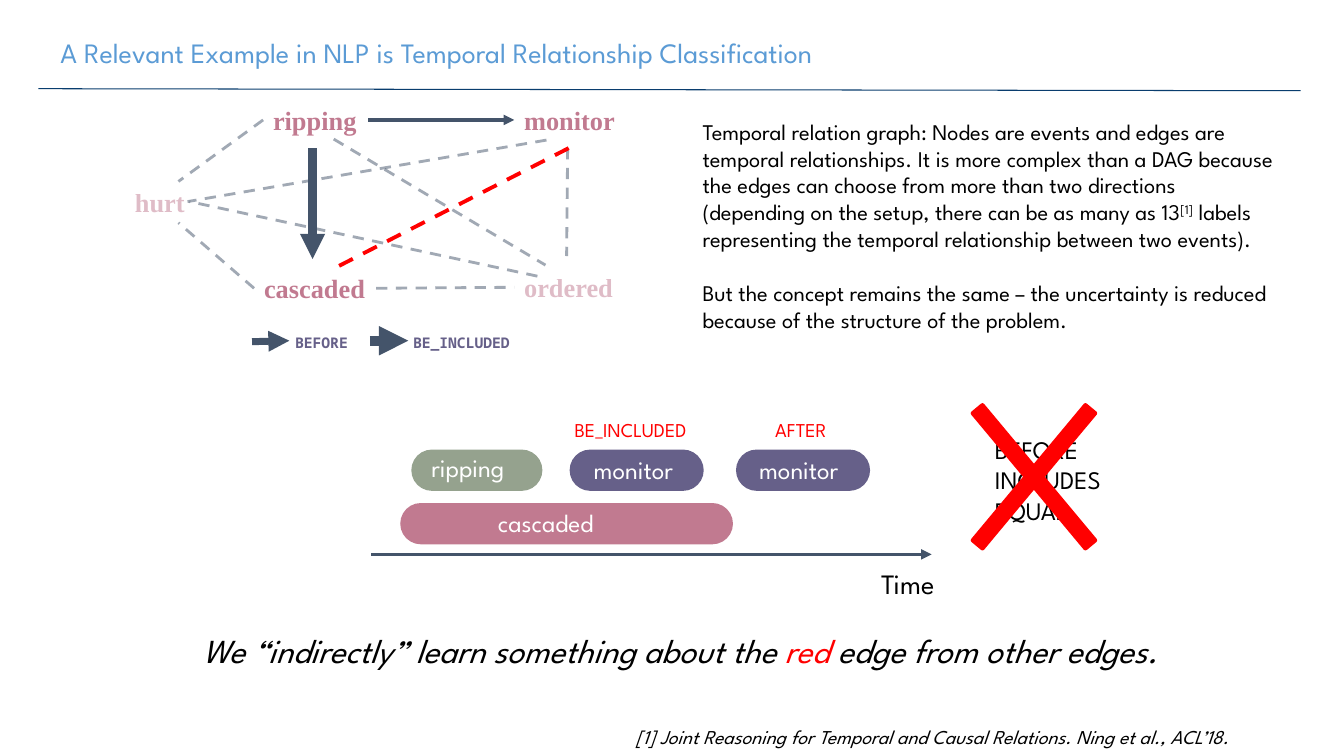
from lxml.etree import SubElement
from pptx import Presentation
from pptx.dml.color import RGBColor
from pptx.enum.dml import MSO_LINE
from pptx.enum.shapes import MSO_CONNECTOR, MSO_SHAPE
from pptx.enum.text import MSO_ANCHOR, MSO_AUTO_SIZE, PP_ALIGN
from pptx.oxml.ns import qn
from pptx.util import Inches, Pt

COLORS = {
    "title": "5B9BD5", "rule": "093D6E", "slate": "44546A", "rose": "C17A90",
    "violet": "666089", "sage": "95A28E", "red": "FF0000", "black": "000000",
    "white": "FFFFFF",
}
SANS, SERIF, MONO = "League Spartan", "Times New Roman", "Noto Sans Mono"

TITLE = "A Relevant Example in NLP is Temporal Relationship Classification"
# word, left, top, width, opacity in percent
EVENTS = [
    ("cascaded", 2.52, 2.65, 1.21, 100),
    ("hurt", 1.24, 1.8, 0.7, 50),
    ("ripping", 2.61, 0.98, 1.03, 100),
    ("ordered", 5.1, 2.64, 1.09, 50),
    ("monitor", 5.1, 0.98, 1.11, 100),
]
UNKNOWN_EDGES = [
    ((2.61, 1.19), (1.77, 1.8)),
    ((3.31, 1.38), (5.41, 2.63)),
    ((3.73, 2.86), (5.1, 2.85)),
    ((2.52, 2.86), (1.77, 2.21)),
    ((5.63, 1.47), (5.62, 2.54)),
    ((5.42, 1.39), (1.86, 2)),
    ((5.33, 2.74), (1.88, 2)),
]
RED_EDGE = ((5.64, 1.47), (3.32, 2.66))
# start, end, width in points
ARROWS = [
    ((3.1, 1.47), (3.1, 2.57), 6),
    ((3.65, 1.19), (5.1, 1.19), 2.5),
    ((2.5, 3.39), (2.87, 3.38), 5),
    ((3.67, 3.38), (4.05, 3.38), 7),
    ((3.68, 5.5), (9.24, 5.5), 2.5),
]
LEGEND = [("BEFORE", 2.83, 0.73), ("BE_INCLUDED", 4, 1.17)]
# word, fill, left, top, width, text left, text top, text width
INTERVALS = [
    ("monitor", "violet", 5.65, 4.46, 1.33, 5.79, 4.46, 1.2),
    ("monitor", "violet", 7.3, 4.46, 1.33, 7.43, 4.46, 1.2),
    ("ripping", "sage", 4.08, 4.46, 1.3, 4.18, 4.44, 1.2),
    ("cascaded", "rose", 3.97, 4.99, 3.3, 4.84, 4.98, 1.48),
]
POSSIBLE = [("BE_INCLUDED", 5.6, 1.48), ("AFTER", 7.59, 0.75)]
RULED_OUT = ["BEFORE", "INCLUDES", "EQUAL"]
EXPLANATION = [
    [("Temporal relation graph: Nodes are events and edges are temporal "
      "relationships. It is more complex than a DAG because the edges can choose "
      "from more than two directions (depending on the setup, there can be as "
      "many as 13", {}),
     ("[1]", {"raised": True}),
     (" labels representing the temporal relationship between two events).", {})],
    "But the concept remains the same – the uncertainty is reduced because of "
    "the structure of the problem.",
]
TAKEAWAY = [("We “indirectly” learn something about the ", {}),
            ("red ", {"color": "red"}),
            ("edge from other edges.", {})]
REFERENCE = "[1] Joint Reasoning for Temporal and Causal Relations. Ning et al., ACL’18."


def rgb(name):
    return RGBColor.from_string(COLORS[name])


def set_opacity(element, percent):
    """Make the solid colour found inside an XML element partly transparent."""
    color = next(element.iter(qn("a:srgbClr")))
    SubElement(color, qn("a:alpha")).set("val", str(percent * 1000))


def write(frame, paragraphs, size, font=SANS, color="black", bold=False,
          italic=False, opacity=100, align=PP_ALIGN.LEFT, gap=0):
    """Fill a text frame; a paragraph is a string or a list of (text, changes)."""
    for index, content in enumerate(paragraphs):
        para = frame.paragraphs[0] if index == 0 else frame.add_paragraph()
        para.alignment = align
        if index and gap:
            para.space_before = Pt(gap)
        spans = [(content, {})] if isinstance(content, str) else content
        for text, changes in spans:
            span = para.add_run()
            span.text = text
            span.font.size, span.font.name = Pt(size), font
            span.font.bold, span.font.italic = bold, italic
            span.font.color.rgb = rgb(changes.get("color", color))
            if opacity < 100:
                set_opacity(span._r, opacity)
            if changes.get("raised"):
                span._r.get_or_add_rPr().set("baseline", "30000")


def add_text(page, place, paragraphs, size, wrap=False, **style):
    box = page.shapes.add_textbox(*map(Inches, place))
    box.text_frame.word_wrap = wrap
    box.text_frame.auto_size = MSO_AUTO_SIZE.SHAPE_TO_FIT_TEXT
    write(box.text_frame, paragraphs, size, **style)


def add_line(page, start, end, width, color="slate", dashed=False, opacity=100,
             arrow=False):
    line = page.shapes.add_connector(MSO_CONNECTOR.STRAIGHT,
                                     *map(Inches, start + end))
    line.line.width = Pt(width)
    line.line.color.rgb = rgb(color)
    properties = line._element.spPr
    if opacity < 100:
        set_opacity(properties, opacity)
    if dashed:
        line.line.dash_style = MSO_LINE.DASH
    if arrow:
        SubElement(properties.find(qn("a:ln")), qn("a:tailEnd")).set("type", "triangle")
    SubElement(properties, qn("a:effectLst"))


def add_filled(page, kind, place, fill, adjustment):
    shape = page.shapes.add_shape(kind, *map(Inches, place))
    shape.adjustments[0] = adjustment
    shape.shadow.inherit = False
    shape.fill.solid()
    shape.fill.fore_color.rgb = rgb(fill)
    shape.line.fill.background()
    return shape


def add_title(page):
    title = page.shapes.title
    title.left, title.top, title.width, title.height = map(
        Inches, (0.5, 0.23, 9.51, 0.58))
    title.text_frame.vertical_anchor = MSO_ANCHOR.MIDDLE
    write(title.text_frame, [TITLE], 20, color="title")
    add_line(page, (0.38, 0.88), (12.9, 0.9), 0.75, color="rule")


def add_graph(page):
    for word, left, top, width, opacity in EVENTS:
        add_text(page, (left, top, width, 0.42), [word], 18.8, font=SERIF,
                 color="rose", bold=True, opacity=opacity)
    for start, end in UNKNOWN_EDGES:
        add_line(page, start, end, 2, dashed=True, opacity=50)
    for start, end, width in ARROWS:
        add_line(page, start, end, width, arrow=True)
    for label, left, width in LEGEND:
        add_text(page, (left, 3.26, width, 0.28), [label], 10.5, font=MONO,
                 color="violet", bold=True)
    add_line(page, *RED_EDGE, 2.75, color="red", dashed=True)


def add_timeline(page):
    for word, fill, left, top, width, *text_place in INTERVALS:
        add_filled(page, MSO_SHAPE.ROUNDED_RECTANGLE, (left, top, width, 0.41),
                   fill, 0.5)
        add_text(page, (*text_place, 0.4), [word], 18, color="white")
    add_text(page, (8.64, 5.57, 0.82, 0.44), ["Time"], 20)
    for label, left, width in POSSIBLE:
        add_text(page, (left, 4.1, width, 0.34), [label], 14, color="red")
    add_text(page, (9.77, 4.26, 1.38, 1.01), RULED_OUT, 18)
    cross = add_filled(page, MSO_SHAPE.MATH_MULTIPLY, (9.18, 3.44, 2.15, 2.58),
                       "red", 0.058)
    cross.line.color.rgb = rgb("red")
    cross.line.width = Pt(3)


def main():
    deck = Presentation()
    deck.slide_width, deck.slide_height = Inches(13.33), Inches(7.5)
    page = deck.slides.add_slide(deck.slide_layouts[5])
    add_title(page)
    add_graph(page)
    add_timeline(page)
    add_text(page, (6.87, 1.12, 5.89, 2.52), EXPLANATION, 16, wrap=True, gap=19.2)
    add_text(page, (0.89, 6.2, 11.71, 0.5), [TAKEAWAY], 24, italic=True,
             align=PP_ALIGN.CENTER)
    add_text(page, (6.21, 7.14, 7.17, 0.34), [REFERENCE], 14, italic=True)
    deck.save("out.pptx")


if __name__ == "__main__":
    main()
